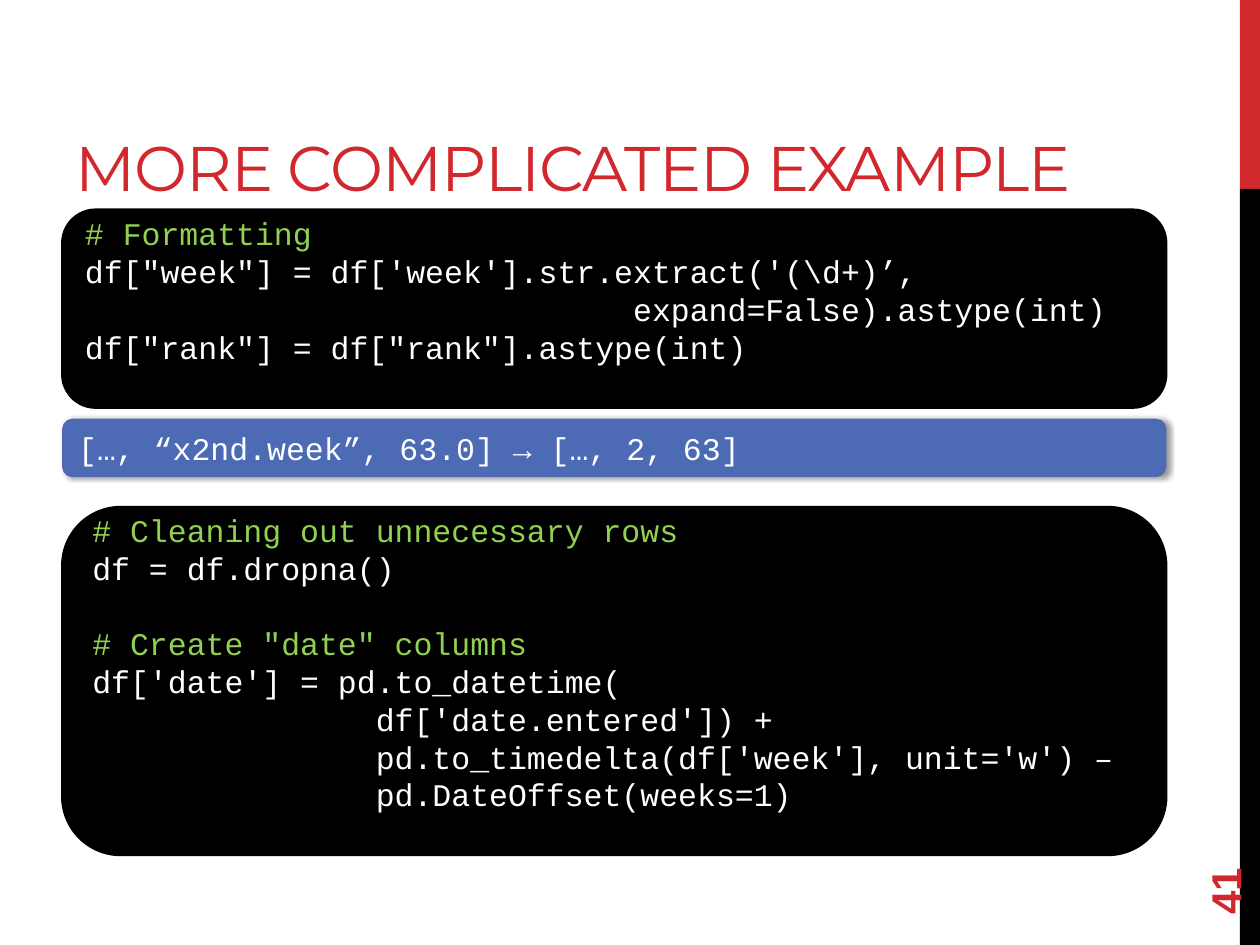
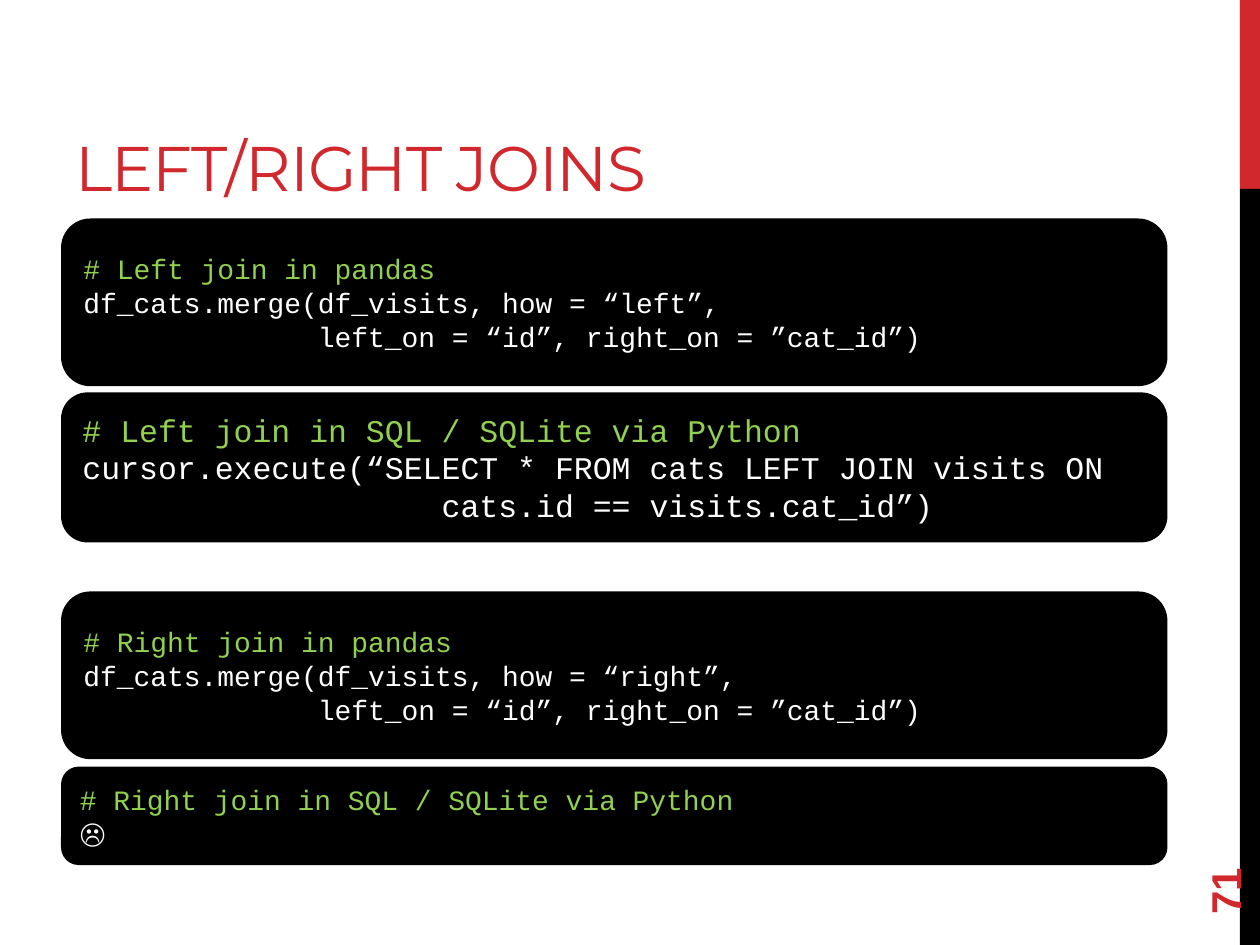
from dataclasses import dataclass
from lxml.etree import SubElement
from pptx import Presentation
from pptx.dml.color import RGBColor
from pptx.enum.shapes import MSO_SHAPE
from pptx.enum.text import MSO_ANCHOR, PP_ALIGN
from pptx.oxml.ns import qn
from pptx.util import Inches, Pt


@dataclass(frozen=True)
class Theme:
    red: str = "D1282E"
    black: str = "000000"
    white: str = "FFFFFF"
    green: str = "92D050"
    blue: str = "4D6BB5"
    edge: str = "4E6AAE"
    head: str = "Montserrat"
    mono: str = "Courier New"
    sans: str = "Arial"
    head_size: int = 36
    page_size: int = 24
    code_size: int = 18
    small_size: int = 16
    pitch: float = 1.2  # line height over type size


THEME = Theme()
LEFT, WIDTH = 0.5, 8.75
BAND_LEFT, BAND_WIDTH = 9.84, 0.16
BANDS = [(0, 1.5, THEME.red), (1.5, 6, THEME.black)]

# Content: code boxes hold top, height, type size, lines left free below, code
MERGE = """# {0} join in pandas
df_cats.merge(df_visits, how = “{1}”,
              left_on = “id”, right_on = ”cat_id”)"""

SLIDES = [
    {
        "title": "MORE COMPLICATED EXAMPLE", "page": "41", "width": WIDTH,
        "code": [
            (1.67, 1.56, THEME.code_size, 1, r"""# Formatting
df["week"] = df['week'].str.extract('(\d+)’,
                             expand=False).astype(int)
df["rank"] = df["rank"].astype(int)"""),
            (4.03, 2.75, THEME.code_size, 1, """# Cleaning out unnecessary rows
df = df.dropna()
# Create "date" columns
df['date'] = pd.to_datetime(
               df['date.entered']) +
               pd.to_timedelta(df['week'], unit='w') –
               pd.DateOffset(weeks=1)"""),
        ],
        "result": (3.33, 0.45, "[…, “x2nd.week”, 63.0] → […, 2, 63]"),
    },
    {
        "title": "LEFT/RIGHT JOINS", "page": "71", "width": 6.33,
        "code": [
            (1.75, 1.3, THEME.small_size, 0, MERGE.format("Left", "left")),
            (3.13, 1.16, THEME.code_size, 0, """# Left join in SQL / SQLite via Python
cursor.execute(“SELECT * FROM cats LEFT JOIN visits ON
                   cats.id == visits.cat_id”)"""),
            (4.71, 1.3, THEME.small_size, 0, MERGE.format("Right", "right")),
            (6.1, 0.75, THEME.small_size, 0, """# Right join in SQL / SQLite via Python
☹"""),
        ],
    },
]


def tint(font, name, size, color, bold=False):
    font.name, font.size, font.bold = name, Pt(size), bold
    font.color.rgb = RGBColor.from_string(color)


def block(slide, kind, box, fill, edge=None, weight=0):
    """Draw a filled shape without shadow."""
    shape = slide.shapes.add_shape(kind, *map(Inches, box))
    shape.shadow.inherit = False
    shape.fill.solid()
    shape.fill.fore_color.rgb = RGBColor.from_string(fill)
    if edge:
        shape.line.color.rgb = RGBColor.from_string(edge)
        shape.line.width = Pt(weight)
    else:
        shape.line.fill.background()
    return shape


def write(shape, text, size):
    """Set lines of code, with comments in green and a gap before later ones."""
    frame = shape.text_frame
    frame.word_wrap = True
    frame.vertical_anchor = MSO_ANCHOR.MIDDLE
    step = Pt(size * THEME.pitch)
    for i, line in enumerate(text.split("\n")):
        para = frame.paragraphs[0] if i == 0 else frame.add_paragraph()
        note = line.startswith("#")
        para.text = line
        para.alignment = PP_ALIGN.LEFT
        para.line_spacing = step
        if note and i:
            para.space_before = step
        tint(para.font, THEME.mono, size, THEME.green if note else THEME.white)


def add_code(slide, top, height, size, free, text):
    shape = block(slide, MSO_SHAPE.ROUNDED_RECTANGLE, (LEFT, top, WIDTH, height),
                  THEME.black, THEME.black, 2.25)
    write(shape, text, size)
    shape.text_frame.margin_bottom = Inches(0.05) + free * Pt(size * THEME.pitch)


def add_result(slide, top, height, text):
    shape = block(slide, MSO_SHAPE.ROUNDED_RECTANGLE, (LEFT, top, WIDTH, height),
                  THEME.blue, THEME.edge, 1)
    write(shape, text, THEME.code_size)
    # Soft shadow to the right
    glow = SubElement(shape.element.spPr.find(qn("a:effectLst")), qn("a:outerShdw"),
                      blurRad=str(Pt(3.1)), dist=str(Pt(1.8)), dir="0", rotWithShape="0")
    shade = SubElement(glow, qn("a:srgbClr"), val=THEME.black)
    SubElement(shade, qn("a:alpha"), val="40000")


def add_title(slide, text, width):
    title = slide.shapes.title
    title.left, title.top, title.width, title.height = map(Inches, (LEFT, 0.17, width, 1.5))
    title.text = text
    title.text_frame.vertical_anchor = MSO_ANCHOR.BOTTOM
    para = title.text_frame.paragraphs[0]
    para.alignment = PP_ALIGN.LEFT
    para.runs[0].font._element.set("spc", "-60")
    tint(para.font, THEME.head, THEME.head_size, THEME.red)


def add_page(slide, text):
    box = slide.shapes.add_textbox(*map(Inches, (9, 6.44, 1.44, 0.4)))
    box.rotation = 270
    box.text_frame.word_wrap = True
    box.text_frame.vertical_anchor = MSO_ANCHOR.MIDDLE
    para = box.text_frame.paragraphs[0]
    para.text = text
    tint(para.font, THEME.sans, THEME.page_size, THEME.red, True)


def add_bands(slide):
    """Draw the side bands, then move them to the layout all slides share."""
    for top, height, color in BANDS:
        band = block(slide, MSO_SHAPE.RECTANGLE, (BAND_LEFT, top, BAND_WIDTH, height), color)
        slide.slide_layout.shapes.element.append(band.element)


def main():
    deck = Presentation()
    deck.slide_width, deck.slide_height = Inches(10), Inches(7.5)
    for i, page in enumerate(SLIDES):
        slide = deck.slides.add_slide(deck.slide_layouts[5])
        if i == 0:
            add_bands(slide)
        add_title(slide, page["title"], page["width"])
        add_page(slide, page["page"])
        for part in page["code"]:
            add_code(slide, *part)
        if "result" in page:
            add_result(slide, *page["result"])
    deck.save("out.pptx")


if __name__ == "__main__":
    main()
